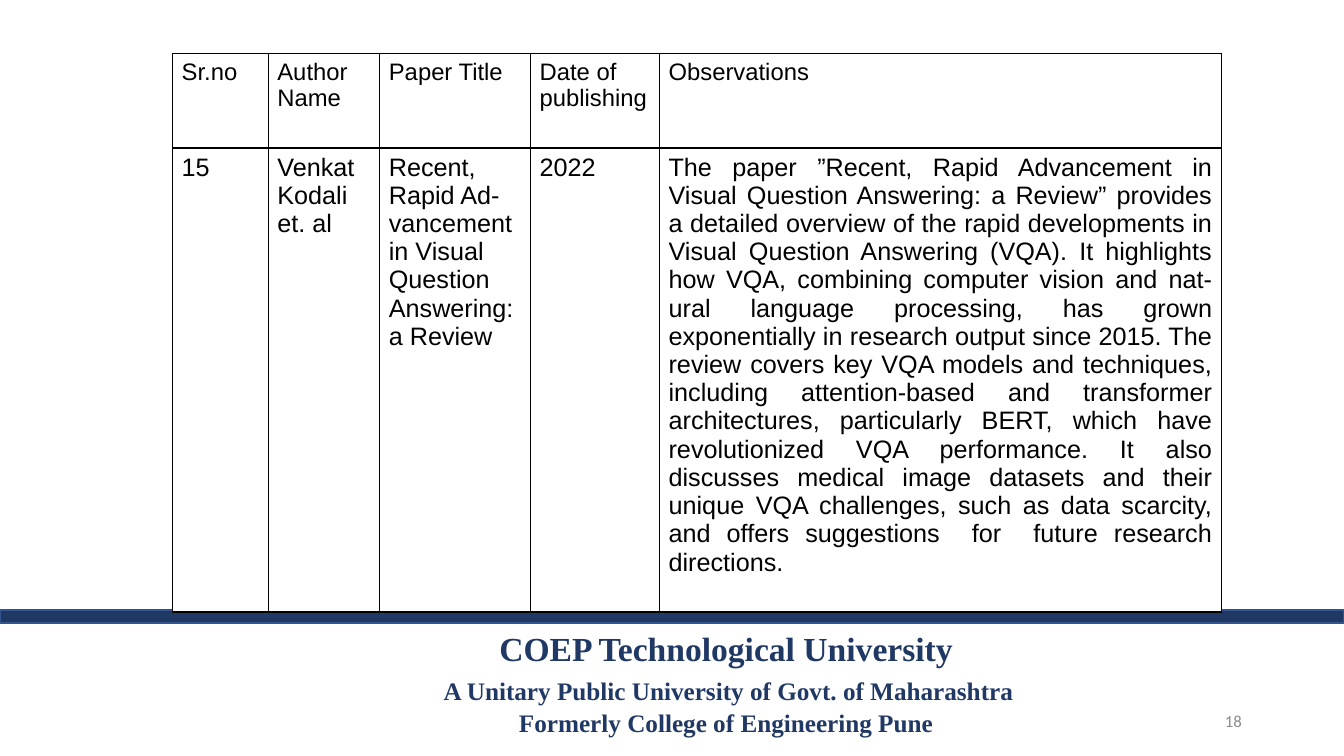
from pptx import Presentation
from pptx.dml.color import RGBColor
from pptx.enum.shapes import MSO_SHAPE as Preset
from pptx.enum.text import MSO_ANCHOR as Anchor, PP_ALIGN as Align
from pptx.oxml import parse_xml
from pptx.oxml.ns import nsdecls
from pptx.util import Cm, Pt

COLORS = {"navy": "203864", "edge": "325490", "black": "000000",
          "white": "FFFFFF", "gray": "8B8B8B"}
WIDTH, HEIGHT = 33.87, 19.05
COLUMNS = [2.41, 2.81, 3.8, 3.25, 14.16]
ROWS = [2.39, 11.66]
HEADERS = ["Sr.no", "Author\nName", "Paper Title", "Date of\npublishing", "Observations"]
PAPER = [
    "15",
    "Venkat Kodali et. al",
    "Recent, Rapid Ad- vancement in Visual Question Answering: a Review",
    "2022",
    "The paper ”Recent, Rapid Advancement in Visual Question Answering: a Review” "
    "provides a detailed overview of the rapid developments in Visual Question "
    "Answering (VQA). It highlights how VQA, combining computer vision and nat- ural "
    "language processing, has grown exponentially in research output since 2015. The "
    "review covers key VQA models and techniques, including attention-based and "
    "transformer architectures, particularly BERT, which have revolutionized VQA "
    "performance. It also discusses medical image datasets and their unique VQA "
    "challenges, such as data scarcity, and offers suggestions  for  future research "
    "directions.",
]


def rgb(name):
    return RGBColor.from_string(COLORS[name])


class SlideBuilder:
    def __init__(self, slide):
        self.slide = slide

    def style(self, paragraph, font, size, color, align=Align.LEFT, bold=False):
        paragraph.alignment = align
        paragraph.font.name = font
        paragraph.font.size = Pt(size)
        paragraph.font.bold = bold
        paragraph.font.color.rgb = rgb(color)

    def text(self, left, top, width, height, lines, sizes, font, color, align,
             bold=False, anchor=Anchor.TOP):
        shape = self.slide.shapes.add_textbox(Cm(left), Cm(top), Cm(width), Cm(height))
        frame = shape.text_frame
        frame.word_wrap = True
        frame.vertical_anchor = anchor
        frame.text = "\n".join(lines)
        for paragraph, size in zip(frame.paragraphs, sizes):
            self.style(paragraph, font, size, color, align, bold)
        return frame

    def bar(self, left, top, width, height):
        shape = self.slide.shapes.add_shape(
            Preset.RECTANGLE, Cm(left), Cm(top), Cm(width), Cm(height))
        shape.shadow.inherit = False
        shape.fill.solid()
        shape.fill.fore_color.rgb = rgb("navy")
        shape.line.color.rgb = rgb("edge")
        shape.line.width = Pt(2)

    def borders(self, cell):
        properties = cell._tc.get_or_add_tcPr()
        for position, side in enumerate(("lnL", "lnR", "lnT", "lnB")):
            properties.insert(position, parse_xml(
                f'<a:{side} {nsdecls("a")} w="{Pt(1)}"><a:solidFill>'
                f'<a:srgbClr val="{COLORS["black"]}"/></a:solidFill></a:{side}>'))

    def table(self, left, top, columns, rows, contents, sizes):
        table = self.slide.shapes.add_table(
            len(rows), len(columns), Cm(left), Cm(top),
            Cm(sum(columns)), Cm(sum(rows))).table
        table.first_row = table.horz_banding = False
        for column, width in zip(table.columns, columns):
            column.width = Cm(width)
        for row, height, texts, size in zip(table.rows, rows, contents, sizes):
            row.height = Cm(height)
            for cell, text in zip(row.cells, texts):
                cell.text = text
                cell.margin_left = cell.margin_right = Cm(0.23)
                cell.margin_top = cell.margin_bottom = Cm(0.13)
                cell.fill.solid()
                cell.fill.fore_color.rgb = rgb("white")
                self.borders(cell)
                for paragraph in cell.text_frame.paragraphs:
                    self.style(paragraph, "Arial", size, "black")
        return table


def main():
    presentation = Presentation()
    presentation.slide_width, presentation.slide_height = Cm(WIDTH), Cm(HEIGHT)
    builder = SlideBuilder(presentation.slides.add_slide(presentation.slide_layouts[6]))

    university = builder.text(
        5.46, 15.7, 25.68, 3.05,
        ["COEP Technological University",
         " A Unitary Public University of Govt. of Maharashtra",
         "Formerly College of Engineering Pune"],
        [24, 18, 18], "Times New Roman", "navy", Align.CENTER, bold=True)
    motto = university.paragraphs[1]
    motto.space_before, motto.space_after = Pt(5), Pt(1.5)

    builder.bar(0, 15.37, WIDTH, 0.33)
    papers = builder.table(4.35, 1.34, COLUMNS, ROWS, [HEADERS, PAPER], [17, 18])
    observations = papers.cell(1, 4).text_frame.paragraphs[0]
    observations.alignment = Align.JUSTIFY

    builder.text(23.93, 17.65, 7.62, 1.02, ["18"], [12], "Calibri", "gray",
                 Align.RIGHT, anchor=Anchor.MIDDLE)
    presentation.save("out.pptx")


if __name__ == "__main__":
    main()
